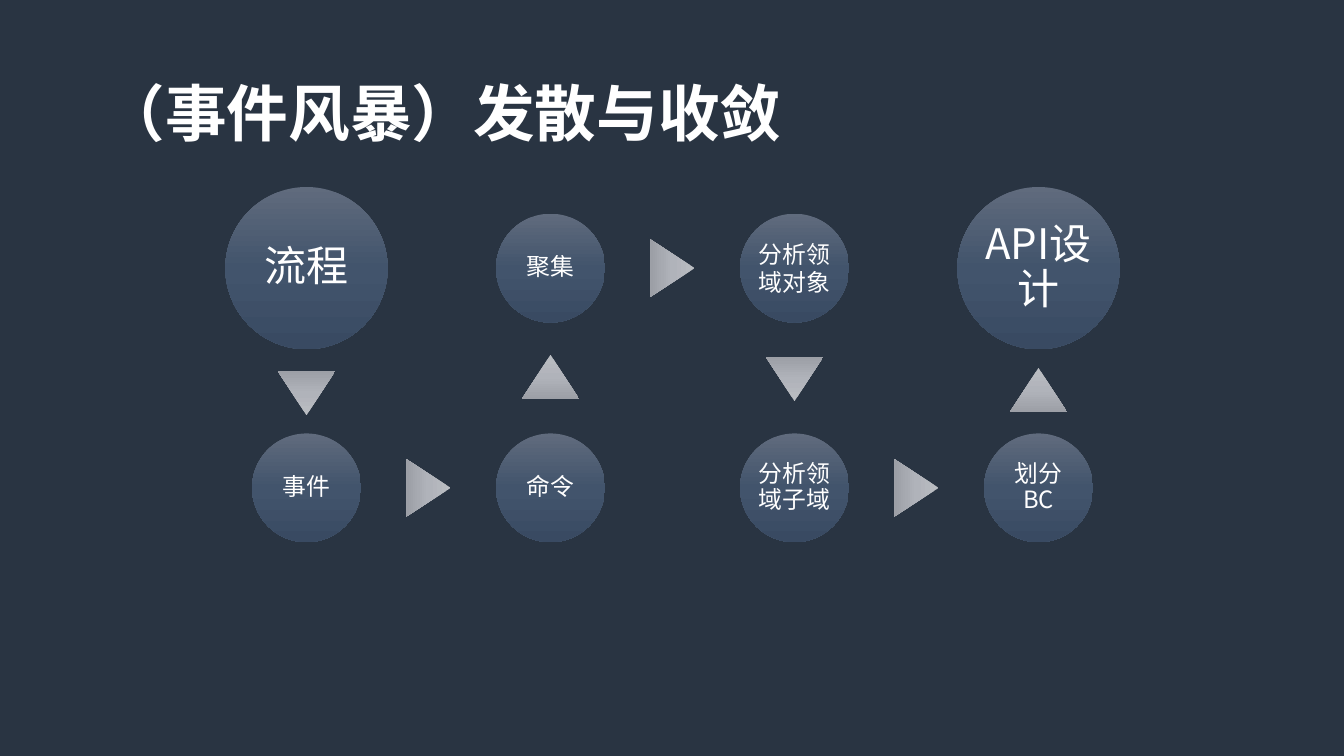
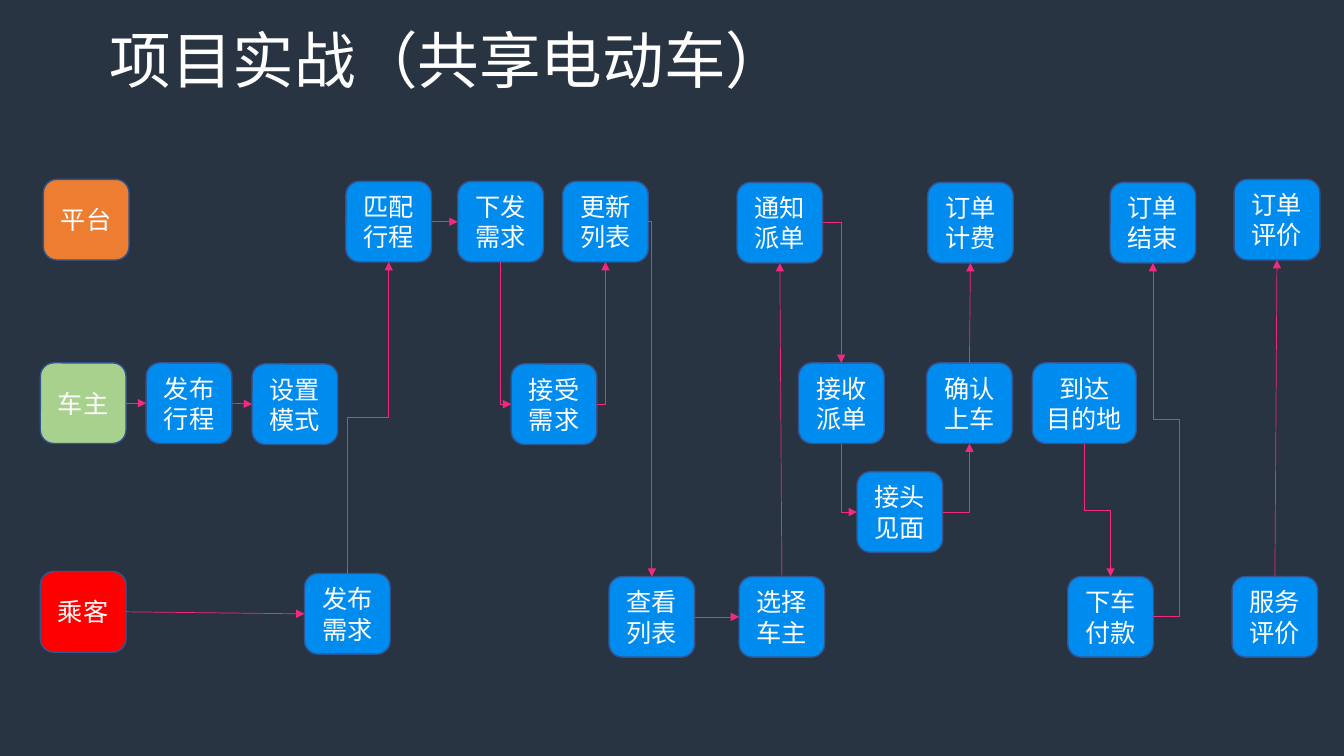
"""Build two dark slides: an event-storming path and a shared-ride swimlane flow."""
from copy import deepcopy
from dataclasses import dataclass

from lxml import etree
from pptx import Presentation
from pptx.dml.color import RGBColor
from pptx.enum import shapes, text
from pptx.oxml.ns import qn
from pptx.shapes.autoshape import Shape
from pptx.shapes.connector import Connector
from pptx.slide import Slide
from pptx.text.text import TextFrame
from pptx.util import Inches, Pt

FONT = "Noto Sans CJK SC"
BACKGROUND = RGBColor(0x29, 0x34, 0x42)
WHITE = RGBColor(0xFF, 0xFF, 0xFF)
BLUE = RGBColor(0x00, 0x8B, 0xEF)
ORANGE = RGBColor(0xED, 0x7D, 0x31)
GREEN = RGBColor(0xA9, 0xD1, 0x8E)
RED = RGBColor(0xFF, 0x00, 0x00)
BORDER = RGBColor(0x32, 0x54, 0x91)
PINK = RGBColor(0xF6, 0x27, 0x81)
CIRCLE_GRADIENT = (RGBColor(0x60, 0x6B, 0x7D), RGBColor(0x42, 0x54, 0x6C), RGBColor(0x39, 0x4A, 0x62))
ARROW_GRADIENT = (RGBColor(0xBA, 0xBD, 0xC2), RGBColor(0xB0, 0xB3, 0xBA), RGBColor(0x9C, 0x9F, 0xA6))

TOP, LEFT, BOTTOM, RIGHT = range(4)
COLUMN_START, COLUMN_PITCH = 3.04, 2.42
ROW_CENTERS = (2.66, 4.84)
SMALL, LARGE = 1.08, 1.61
ARROW_WIDTH, ARROW_HEIGHT = 0.57, 0.44
BOX_WIDTH, BOX_HEIGHT = 0.85, 0.8
BULGE = 0.25


@dataclass(frozen=True)
class Step:
    """A circle on the event-storming grid."""
    label: str
    column: int
    row: int
    diameter: float = SMALL
    size: int = 17
    spacing: float = 0.9


@dataclass(frozen=True)
class Arrow:
    """A triangle between two steps, placed by its grid column and centre height."""
    column: float
    center_y: float
    rotation: int


@dataclass(frozen=True)
class Box:
    """A rounded box in the swimlane flow."""
    label: str
    left: float
    top: float
    color: RGBColor = BLUE
    width: float = BOX_WIDTH


@dataclass(frozen=True)
class Flow:
    """An arrow between two boxes, with the sides it joins and its number of segments."""
    start: str
    start_side: int
    end: str
    end_side: int
    segments: int = 1


STEPS = (
    Step("流程", 0, 0, LARGE, 30),
    Step("事件", 0, 1),
    Step("命令", 1, 1),
    Step("聚集", 1, 0),
    Step("分析领域对象", 2, 0, spacing=1.0),
    Step("分析领域子域", 2, 1),
    Step("划分BC", 3, 1),
    Step("API设计", 3, 0, LARGE, 30),
)
ARROWS = (
    Arrow(0, 3.9, 180),
    Arrow(0.5, ROW_CENTERS[1], 90),
    Arrow(1, 3.74, 0),
    Arrow(1.5, ROW_CENTERS[0], 90),
    Arrow(2, 3.76, 180),
    Arrow(2.5, ROW_CENTERS[1], 90),
    Arrow(3, 3.87, 0),
)
BOXES = (
    Box("平台", 0.43, 1.78, ORANGE),
    Box("匹配行程", 3.43, 1.8),
    Box("下发需求", 4.54, 1.8),
    Box("更新列表", 5.58, 1.8),
    Box("通知派单", 7.31, 1.81),
    Box("订单计费", 9.2, 1.81),
    Box("订单结束", 11.01, 1.81),
    Box("订单评价", 12.24, 1.78),
    Box("车主", 0.4, 3.6, GREEN),
    Box("发布行程", 1.45, 3.6),
    Box("设置模式", 2.5, 3.61),
    Box("接受需求", 5.07, 3.61),
    Box("接收派单", 7.92, 3.6),
    Box("确认上车", 9.19, 3.6),
    Box("到达\n目的地", 10.24, 3.6, width=1.03),
    Box("接头见面", 8.5, 4.68),
    Box("乘客", 0.4, 5.67, RED),
    Box("发布需求", 3.02, 5.69),
    Box("查看列表", 6.04, 5.72),
    Box("选择车主", 7.33, 5.72),
    Box("下车付款", 10.59, 5.72),
    Box("服务评价", 12.22, 5.72),
)
FLOWS = (
    Flow("乘客", RIGHT, "发布需求", LEFT),
    Flow("车主", RIGHT, "发布行程", LEFT),
    Flow("发布行程", RIGHT, "设置模式", LEFT),
    Flow("发布需求", TOP, "匹配行程", BOTTOM, 3),
    Flow("匹配行程", RIGHT, "下发需求", LEFT),
    Flow("下发需求", BOTTOM, "接受需求", LEFT, 2),
    Flow("接受需求", RIGHT, "更新列表", BOTTOM, 2),
    Flow("更新列表", RIGHT, "查看列表", TOP, 2),
    Flow("查看列表", RIGHT, "选择车主", LEFT),
    Flow("选择车主", TOP, "通知派单", BOTTOM),
    Flow("通知派单", RIGHT, "接收派单", TOP, 2),
    Flow("接收派单", BOTTOM, "接头见面", LEFT, 2),
    Flow("接头见面", RIGHT, "确认上车", BOTTOM, 2),
    Flow("确认上车", TOP, "订单计费", BOTTOM),
    Flow("到达\n目的地", BOTTOM, "下车付款", TOP, 3),
    Flow("下车付款", RIGHT, "订单结束", BOTTOM, 4),
    Flow("服务评价", TOP, "订单评价", BOTTOM),
)


def write_text(frame: TextFrame, content: str, size: int, alignment: text.PP_ALIGN,
               spacing: float = 1.0, bold: bool = False) -> None:
    """Fill a frame with white, vertically centred text."""
    frame.word_wrap = True
    frame.vertical_anchor = text.MSO_ANCHOR.MIDDLE
    frame.text = content
    for paragraph in frame.paragraphs:
        paragraph.alignment = alignment
        paragraph.line_spacing = spacing
        font = paragraph.font
        font.name, font.size, font.bold = FONT, Pt(size), bold
        font.color.rgb = WHITE
        properties = paragraph._p.find(".//" + qn("a:defRPr"))
        etree.SubElement(properties, qn("a:ea"), typeface=FONT)


def add_titled_slide(presentation: Presentation, title: str, left: float, top: float, bold: bool) -> Slide:
    """Add a blank dark slide with a title."""
    slide = presentation.slides.add_slide(presentation.slide_layouts[6])
    slide.background.fill.solid()
    slide.background.fill.fore_color.rgb = BACKGROUND
    box = slide.shapes.add_textbox(Inches(left), Inches(top), Inches(11.5), Inches(1.45))
    write_text(box.text_frame, title, 44, text.PP_ALIGN.LEFT, 0.9, bold)
    return slide


def add_gradient_shape(slide: Slide, kind: shapes.MSO_SHAPE, center_x: float, center_y: float,
                       width: float, height: float, colors: tuple[RGBColor, ...]) -> Shape:
    """Add a borderless shape about a centre, shaded from top to bottom."""
    shape = slide.shapes.add_shape(kind, Inches(center_x - width / 2), Inches(center_y - height / 2),
                                   Inches(width), Inches(height))
    shape.shadow.inherit = False
    shape.line.fill.background()
    shape.fill.gradient()
    shape.fill.gradient_angle = 270
    stop_list = shape.element.spPr.find(".//" + qn("a:gsLst"))
    stop_list.append(deepcopy(stop_list[0]))
    for stop, color, position in zip(shape.fill.gradient_stops, colors, (0, 0.5, 1)):
        stop.color.rgb = color
        stop.position = position
    return shape


def column_center(column: float) -> float:
    """Return the horizontal centre of a grid column."""
    return COLUMN_START + COLUMN_PITCH * column


def add_step(slide: Slide, step: Step) -> None:
    """Draw a labelled circle."""
    circle = add_gradient_shape(slide, shapes.MSO_SHAPE.OVAL, column_center(step.column),
                                ROW_CENTERS[step.row], step.diameter, step.diameter, CIRCLE_GRADIENT)
    frame = circle.text_frame
    inset = Inches(0.04 if step.diameter == LARGE else 0.02)
    frame.margin_left = frame.margin_top = frame.margin_right = frame.margin_bottom = inset
    write_text(frame, step.label, step.size, text.PP_ALIGN.CENTER, step.spacing)


def add_arrow(slide: Slide, arrow: Arrow) -> None:
    """Draw a triangle pointing to the next step."""
    triangle = add_gradient_shape(slide, shapes.MSO_SHAPE.ISOSCELES_TRIANGLE, column_center(arrow.column),
                                  arrow.center_y, ARROW_WIDTH, ARROW_HEIGHT, ARROW_GRADIENT)
    triangle.rotation = arrow.rotation


def add_box(slide: Slide, box: Box) -> Shape:
    """Draw a labelled rounded box."""
    shape = slide.shapes.add_shape(shapes.MSO_SHAPE.ROUNDED_RECTANGLE, Inches(box.left), Inches(box.top),
                                   Inches(box.width), Inches(BOX_HEIGHT))
    shape.shadow.inherit = False
    shape.fill.solid()
    shape.fill.fore_color.rgb = box.color
    shape.line.color.rgb = BORDER
    shape.line.width = Pt(1)
    write_text(shape.text_frame, box.label, 18, text.PP_ALIGN.CENTER)
    return shape


def turn_upright(connector: Connector) -> None:
    """Rotate an elbow connector so that its first segment is vertical."""
    rising = connector.begin_y > connector.end_y
    width, height = connector.width, connector.height
    center_x, center_y = connector.left + width // 2, connector.top + height // 2
    connector.left, connector.top = center_x - height // 2, center_y - width // 2
    connector.width, connector.height = height, width
    transform = connector.element.spPr.find(qn("a:xfrm"))
    transform.set("rot", str((90 if rising else 270) * 60000))
    transform.set("flipH", "1")
    transform.set("flipV", "1" if rising else "0")


def bend(connector: Connector, flow: Flow) -> None:
    """Give an elbow connector its segments and direction."""
    geometry = connector.element.spPr.find(qn("a:prstGeom"))
    geometry.set("prst", f"bentConnector{flow.segments}")
    if flow.segments == 4:
        bulge = -round(Inches(BULGE) / connector.width * 100000)
        guides = geometry.find(qn("a:avLst"))
        for name, value in (("adj1", bulge), ("adj2", 55700)):
            etree.SubElement(guides, qn("a:gd"), name=name, fmla=f"val {value}")
    if flow.start_side in (TOP, BOTTOM):
        turn_upright(connector)


def add_flow(slide: Slide, flow: Flow, boxes: dict[str, Shape]) -> None:
    """Join two boxes with an arrow."""
    straight = flow.segments == 1
    kind = shapes.MSO_CONNECTOR.STRAIGHT if straight else shapes.MSO_CONNECTOR.ELBOW
    connector = slide.shapes.add_connector(kind, 0, 0, 0, 0)
    connector.begin_connect(boxes[flow.start], flow.start_side)
    connector.end_connect(boxes[flow.end], flow.end_side)
    if not straight:
        bend(connector, flow)
    connector.line.color.rgb = PINK
    connector.line.width = Pt(0.5)
    properties = connector.element.spPr
    etree.SubElement(properties.find(qn("a:ln")), qn("a:tailEnd"), type="triangle")
    etree.SubElement(properties, qn("a:effectLst"))


def main() -> None:
    """Build and save the presentation."""
    presentation = Presentation()
    presentation.slide_width, presentation.slide_height = Inches(13.33), Inches(7.5)

    storming = add_titled_slide(presentation, "（事件风暴）发散与收敛", 0.93, 0.43, True)
    for step in STEPS:
        add_step(storming, step)
    for arrow in ARROWS:
        add_arrow(storming, arrow)

    project = add_titled_slide(presentation, "项目实战（共享电动车）", 0.99, -0.09, False)
    boxes = {box.label: add_box(project, box) for box in BOXES}
    for flow in FLOWS:
        add_flow(project, flow, boxes)

    presentation.save("out.pptx")


if __name__ == "__main__":
    main()
